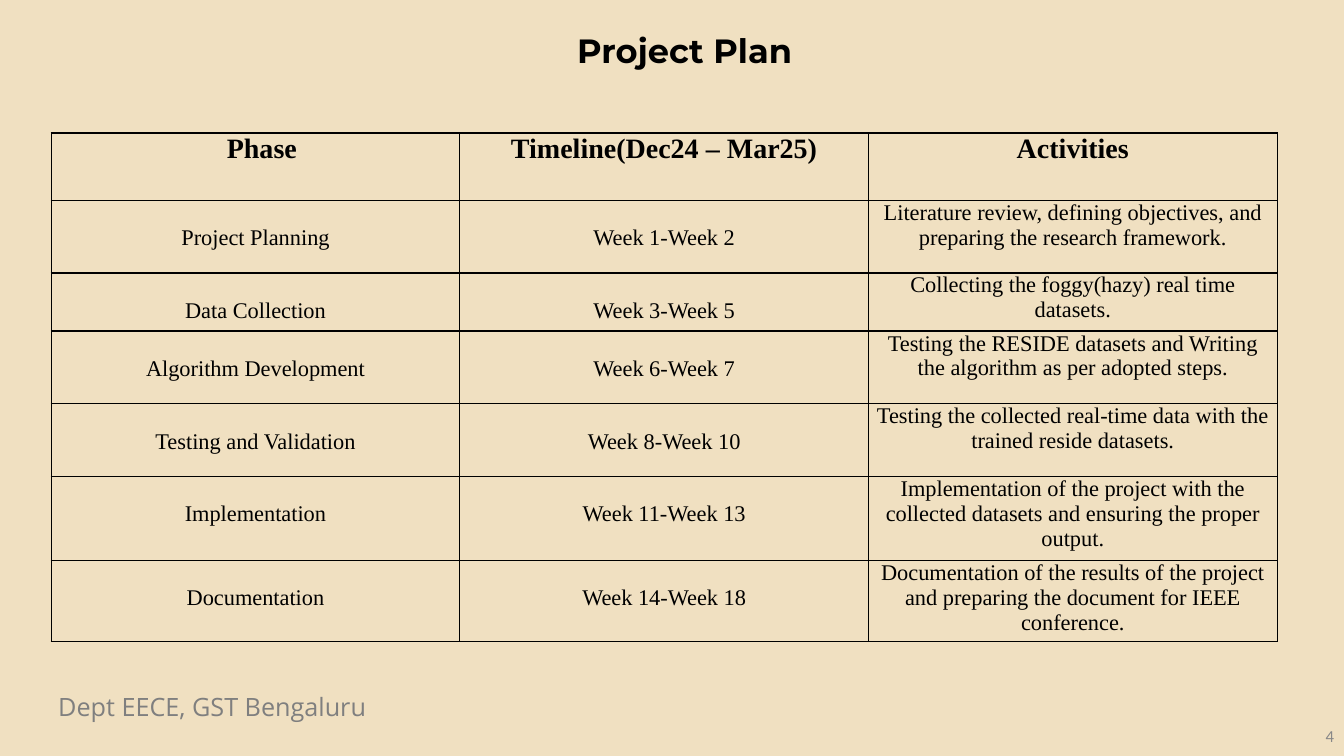
from lxml import etree
from pptx import Presentation
from pptx.dml.color import RGBColor
from pptx.enum.text import MSO_ANCHOR, PP_ALIGN
from pptx.oxml.ns import qn
from pptx.util import Pt

LEFT, CENTER, RIGHT = PP_ALIGN.LEFT, PP_ALIGN.CENTER, PP_ALIGN.RIGHT
TOP, MIDDLE = MSO_ANCHOR.TOP, MSO_ANCHOR.MIDDLE
COLORS = {"background": "F0E0C1", "text": "000000", "footer": "7F7F7F", "number": "888888"}


def write(tf, text, font, size, color, align, bold=False):
    p = tf.paragraphs[0]
    p.text = text
    p.alignment = align
    p.font.name = font
    p.font.size = Pt(size)
    p.font.bold = bold
    p.font.color.rgb = RGBColor.from_string(COLORS[color])


def add_borders(cell):
    """Draw a 1 pt line on all four sides of a table cell."""
    tc_pr = cell._tc.get_or_add_tcPr()
    for side in ("a:lnL", "a:lnR", "a:lnT", "a:lnB"):
        ln = etree.SubElement(tc_pr, qn(side), w=str(Pt(1)))
        fill = etree.SubElement(ln, qn("a:solidFill"))
        etree.SubElement(fill, qn("a:srgbClr"), val=COLORS["text"])


prs = Presentation()
prs.slide_width, prs.slide_height = Pt(960), Pt(540)
slide = prs.slides.add_slide(prs.slide_layouts[6])
slide.background.fill.solid()
slide.background.fill.fore_color.rgb = RGBColor.from_string(COLORS["background"])

# Footer, slide number and title
labels = [
    ("Dept EECE, GST Bengaluru", (34.5, 490.3, 377, 29), "Open Sans", 18, "footer", LEFT, False, TOP),
    ("4", (744, 511, 216, 29), "Calibri", 12, "number", RIGHT, False, MIDDLE),
    ("Project Plan", (75, 18, 828, 39), "Montserrat", 24, "text", CENTER, True, TOP),
]
for text, box, font, size, color, align, bold, anchor in labels:
    tf = slide.shapes.add_textbox(*[Pt(v) for v in box]).text_frame
    tf.word_wrap = True
    tf.vertical_anchor = anchor
    write(tf, text, font, size, color, align, bold)

# Plan table
plan = [
    ("Phase", "Timeline(Dec24 – Mar25)", "Activities"),
    ("Project Planning", "Week 1-Week 2",
     "Literature review, defining objectives, and preparing the research framework."),
    ("Data Collection", "Week 3-Week 5", "Collecting the foggy(hazy) real time datasets."),
    ("Algorithm Development", "Week 6-Week 7",
     "Testing the RESIDE datasets and Writing the algorithm as per adopted steps."),
    ("Testing and Validation", "Week 8-Week 10",
     "Testing the collected real-time data with the trained reside datasets."),
    ("Implementation", "Week 11-Week 13",
     "Implementation of the project with the collected datasets and ensuring the proper output."),
    ("Documentation", "Week 14-Week 18",
     "Documentation of the results of the project and preparing the document for IEEE conference."),
]
row_heights = [48, 52, 41.5, 52, 52, 60, 58]
column_width = 291.9
table = slide.shapes.add_table(len(plan), 3, Pt(36.6), Pt(95), Pt(3 * column_width),
                               Pt(sum(row_heights))).table
table.first_row = table.horz_banding = False
for column in table.columns:
    column.width = Pt(column_width)
for i, (row, height) in enumerate(zip(plan, row_heights)):
    table.rows[i].height = Pt(height)
    for j, text in enumerate(row):
        cell = table.cell(i, j)
        header = i == 0
        cell.margin_left = Pt(14 if header and j == 0 else 5)
        cell.margin_right = Pt(5)
        # Phase and timeline entries sit one line below the cell top
        cell.margin_top = Pt(0 if header or j == 2 else 18)
        cell.margin_bottom = Pt(0)
        add_borders(cell)
        cell.fill.background()
        write(cell.text_frame, text, "Times New Roman", 20 if header else 16, "text", CENTER, header)

prs.save("out.pptx")
